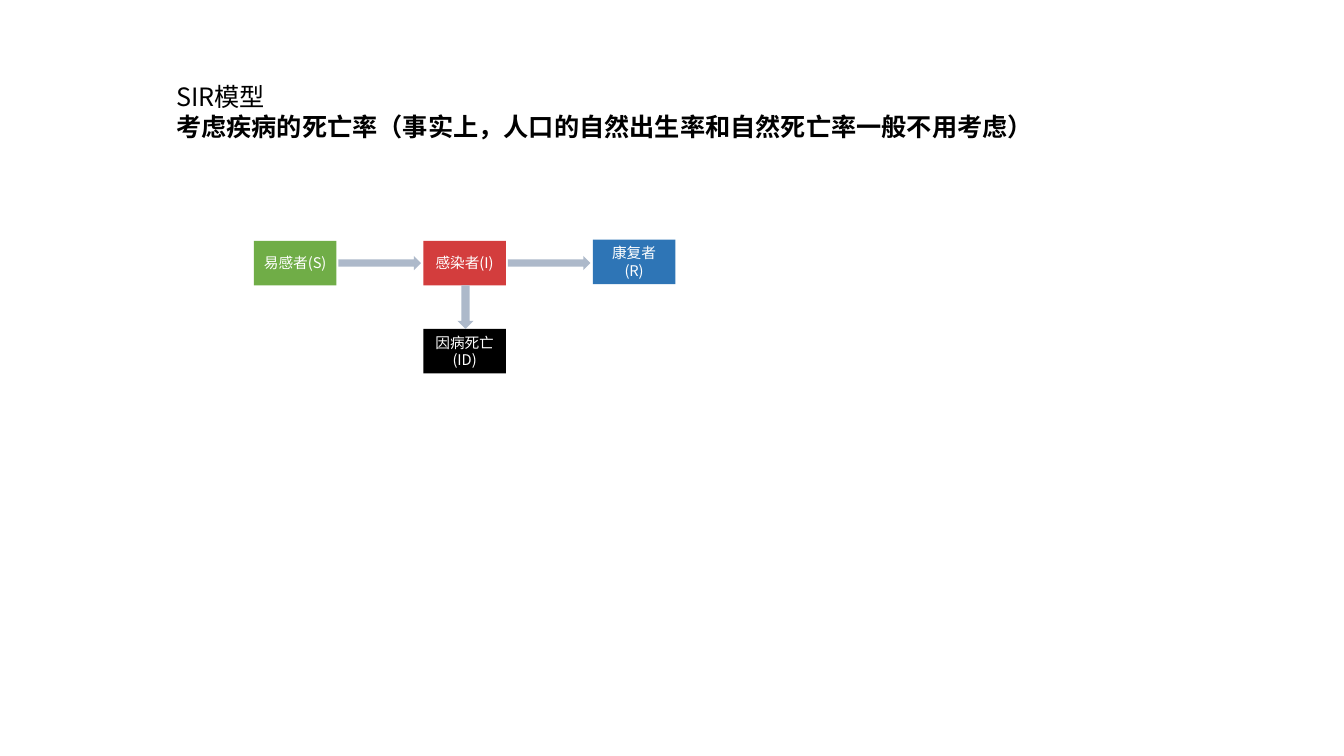
"""Build the SIR model slide with a disease-death branch."""
from lxml import etree
from pptx import Presentation
from pptx.dml.color import RGBColor
from pptx.enum.shapes import MSO_SHAPE
from pptx.enum.text import MSO_ANCHOR, MSO_AUTO_SIZE, PP_ALIGN
from pptx.oxml.ns import qn
from pptx.util import Cm, Pt

RECT, ARROW = MSO_SHAPE.RECTANGLE, MSO_SHAPE.RIGHT_ARROW
CENTER, MIDDLE = PP_ALIGN.CENTER, MSO_ANCHOR.MIDDLE
GROW = MSO_AUTO_SIZE.SHAPE_TO_FIT_TEXT

TITLE = [("SIR模型", False),
         ("考虑疾病的死亡率（事实上，人口的自然出生率和自然死亡率一般不用考虑）", True)]
STATES = [
    {"lines": ["易感者(S)"], "color": "green", "col": 0, "row": 0, "shift": 0},
    {"lines": ["感染者(I)"], "color": "red", "col": 1, "row": 0, "shift": 0},
    {"lines": ["康复者(R)"], "color": "blue", "col": 2, "row": 0, "shift": -0.03},
    {"lines": ["因病死亡", "(ID)"], "color": "black", "col": 1, "row": 1, "shift": 0},
]
THEME = {"font": "Noto Sans CJK SC", "title": 18, "label": 10.5,
         "green": "70AD47", "red": "D33D3D", "blue": "2E75B6",
         "black": "000000", "white": "FFFFFF", "arrow": "ADB9CA"}

LEFT, TOP = 6.4, 6.07
BOX_W, BOX_H = 2.08, 1.12
PITCH_X, PITCH_Y = 4.27, 2.22
GAP, FLOW_H, DEATH_H = 0.05, 0.36, 0.41


def rgb(name):
    return RGBColor.from_string(THEME[name])


def add_text(p, text, size, color, bold=False):
    r = p.add_run()
    r.text = text
    r.font.color.rgb = rgb(color)
    for key, value in {"name": THEME["font"], "size": Pt(THEME[size]), "bold": bold}.items():
        setattr(r.font, key, value)
    ea = etree.SubElement(r.font._element, qn("a:ea"))
    ea.set("typeface", THEME["font"])


def paragraphs(tf, count):
    return [tf.paragraphs[0]] + [tf.add_paragraph() for _ in range(count - 1)]


def add_block(shapes, kind, x, y, w, h, color):
    sp = shapes.add_shape(kind, Cm(x), Cm(y), Cm(w), Cm(h))
    sp.shadow.inherit = False
    sp.fill.solid()
    sp.fill.fore_color.rgb = rgb(color)
    sp.line.fill.background()
    return sp


def add_title(s):
    tf = s.shapes.add_textbox(Cm(4.19), Cm(1.93), Cm(24.26), Cm(2.57)).text_frame
    tf.word_wrap = True
    tf.auto_size = GROW
    for p, (text, bold) in zip(paragraphs(tf, len(TITLE)), TITLE):
        add_text(p, text, "title", "black", bold)


def add_state(shapes, state):
    x = LEFT + state["col"] * PITCH_X
    y = TOP + state["row"] * PITCH_Y + state["shift"]
    tf = add_block(shapes, RECT, x, y, BOX_W, BOX_H, state["color"]).text_frame
    tf.word_wrap = True
    tf.vertical_anchor = MIDDLE
    for p, text in zip(paragraphs(tf, len(state["lines"])), state["lines"]):
        p.alignment = CENTER
        add_text(p, text, "label", "white")


def add_arrows(shapes):
    flow_y = TOP + (BOX_H - FLOW_H) / 2
    for col in range(2):
        x = LEFT + col * PITCH_X + BOX_W + GAP
        add_block(shapes, ARROW, x, flow_y, BOX_W, FLOW_H, "arrow")
    length = PITCH_Y - BOX_H
    x = LEFT + PITCH_X + (BOX_W - length) / 2 + 0.02
    y = TOP + BOX_H + (length - DEATH_H) / 2
    add_block(shapes, ARROW, x, y, length, DEATH_H, "arrow").rotation = 90


def main():
    prs = Presentation()
    prs.slide_width, prs.slide_height = Cm(33.87), Cm(19.05)
    s = prs.slides.add_slide(prs.slide_layouts[6])
    add_title(s)
    diagram = s.shapes.add_group_shape().shapes
    for state in STATES:
        add_state(diagram, state)
    add_arrows(diagram)
    prs.save("out.pptx")


if __name__ == "__main__":
    main()
